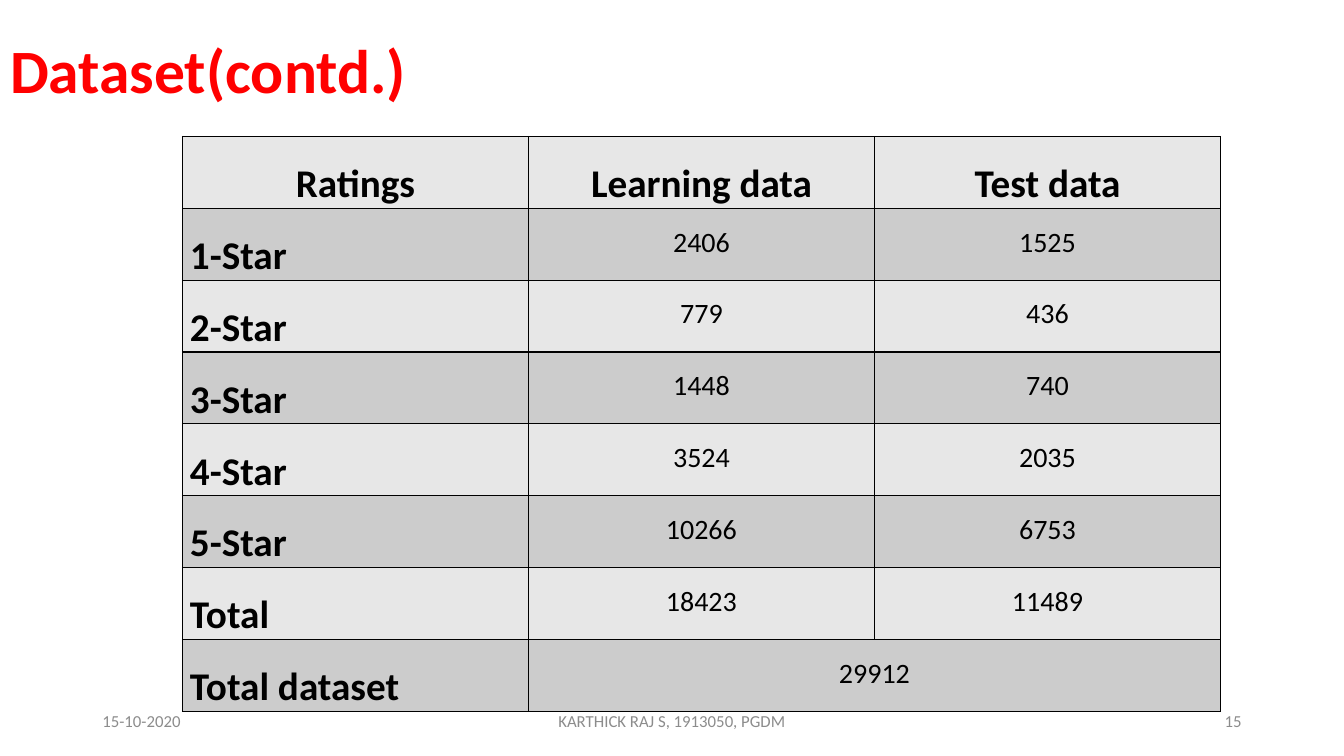
"""Build the dataset slide with its table of ratings."""
import pptx
import pptx.dml.color
import pptx.enum.text
import pptx.oxml
import pptx.oxml.ns
import pptx.util

Pt = pptx.util.Pt
RGBColor = pptx.dml.color.RGBColor
ALIGN = pptx.enum.text.PP_ALIGN
ANCHOR = pptx.enum.text.MSO_ANCHOR

RED = RGBColor(0xFF, 0x00, 0x00)
BLACK = RGBColor(0x00, 0x00, 0x00)
GREY = RGBColor(0x8C, 0x8C, 0x8C)
BANDS = (RGBColor(0xE7, 0xE7, 0xE7), RGBColor(0xCC, 0xCC, 0xCC))
FONT = "Calibri"

TITLE = "Dataset(contd.)"
ROWS = [
    ("Ratings", "Learning data", "Test data"),
    ("1-Star", "2406", "1525"),
    ("2-Star", "779", "436"),
    ("3-Star", "1448", "740"),
    ("4-Star", "3524", "2035"),
    ("5-Star", "10266", "6753"),
    ("Total", "18423", "11489"),
    ("Total dataset", "29912", ""),
]
FOOTERS = [
    ("15-10-2020", 66, 216, ALIGN.LEFT),
    ("KARTHICK RAJ S, 1913050, PGDM", 318, 324, ALIGN.CENTER),
    ("15", 678, 216, ALIGN.RIGHT),
]
TABLE_LEFT, TABLE_TOP = 130.3, 97.4
COLUMN_WIDTH, ROW_HEIGHT = 247.2, 46.8


def add_run(paragraph, text, size, color, bold=False):
    run = paragraph.add_run()
    run.text = text
    run.font.name = FONT
    run.font.size = Pt(size)
    run.font.bold = bold
    run.font.color.rgb = color


def add_borders(cell):
    properties = cell._tc.get_or_add_tcPr()
    for side in ("lnL", "lnR", "lnT", "lnB"):
        properties.append(pptx.oxml.parse_xml(
            f'<a:{side} {pptx.oxml.ns.nsdecls("a")} w="{Pt(1)}"><a:solidFill>'
            f'<a:srgbClr val="{BLACK}"/></a:solidFill></a:{side}>'))


def add_title(slide):
    title = slide.shapes.title
    title.left, title.top, title.width, title.height = Pt(0), Pt(0), Pt(828), Pt(104.4)
    frame = title.text_frame
    frame.auto_size = pptx.enum.text.MSO_AUTO_SIZE.NONE
    frame.vertical_anchor = ANCHOR.MIDDLE
    paragraph = frame.paragraphs[0]
    paragraph.alignment = ALIGN.LEFT
    paragraph.line_spacing = 0.9
    add_run(paragraph, TITLE, 44, RED, True)


def fill_cell(cell, text, row, column):
    add_borders(cell)
    cell.fill.solid()
    cell.fill.fore_color.rgb = BANDS[row % 2]
    cell.margin_left = cell.margin_right = Pt(5.4)
    cell.margin_top = cell.margin_bottom = Pt(0)
    if not text:
        return
    is_heading = row == 0 or column == 0
    paragraph = cell.text_frame.paragraphs[0]
    paragraph.alignment = ALIGN.JUSTIFY if row and column == 0 else ALIGN.CENTER
    paragraph.line_spacing = 1.5
    paragraph.space_after = Pt(6)
    add_run(paragraph, text, 28 if is_heading else 20, BLACK, is_heading)


def add_ratings_table(slide):
    row_count, column_count = len(ROWS), len(ROWS[0])
    table = slide.shapes.add_table(
        row_count, column_count, Pt(TABLE_LEFT), Pt(TABLE_TOP),
        Pt(column_count * COLUMN_WIDTH), Pt(row_count * ROW_HEIGHT)).table
    for row, texts in enumerate(ROWS):
        for column, text in enumerate(texts):
            fill_cell(table.cell(row, column), text, row, column)
    last = row_count - 1
    table.cell(last, 1).merge(table.cell(last, 2))


def add_footers(slide):
    for text, left, width, alignment in FOOTERS:
        frame = slide.shapes.add_textbox(Pt(left), Pt(500.5), Pt(width), Pt(28.75)).text_frame
        frame.word_wrap = True
        frame.vertical_anchor = ANCHOR.MIDDLE
        paragraph = frame.paragraphs[0]
        paragraph.alignment = alignment
        add_run(paragraph, text, 12, GREY)


def main():
    presentation = pptx.Presentation()
    presentation.slide_width, presentation.slide_height = Pt(960), Pt(540)
    slide = presentation.slides.add_slide(presentation.slide_layouts[5])
    add_title(slide)
    add_ratings_table(slide)
    add_footers(slide)
    presentation.save("out.pptx")


if __name__ == "__main__":
    main()
